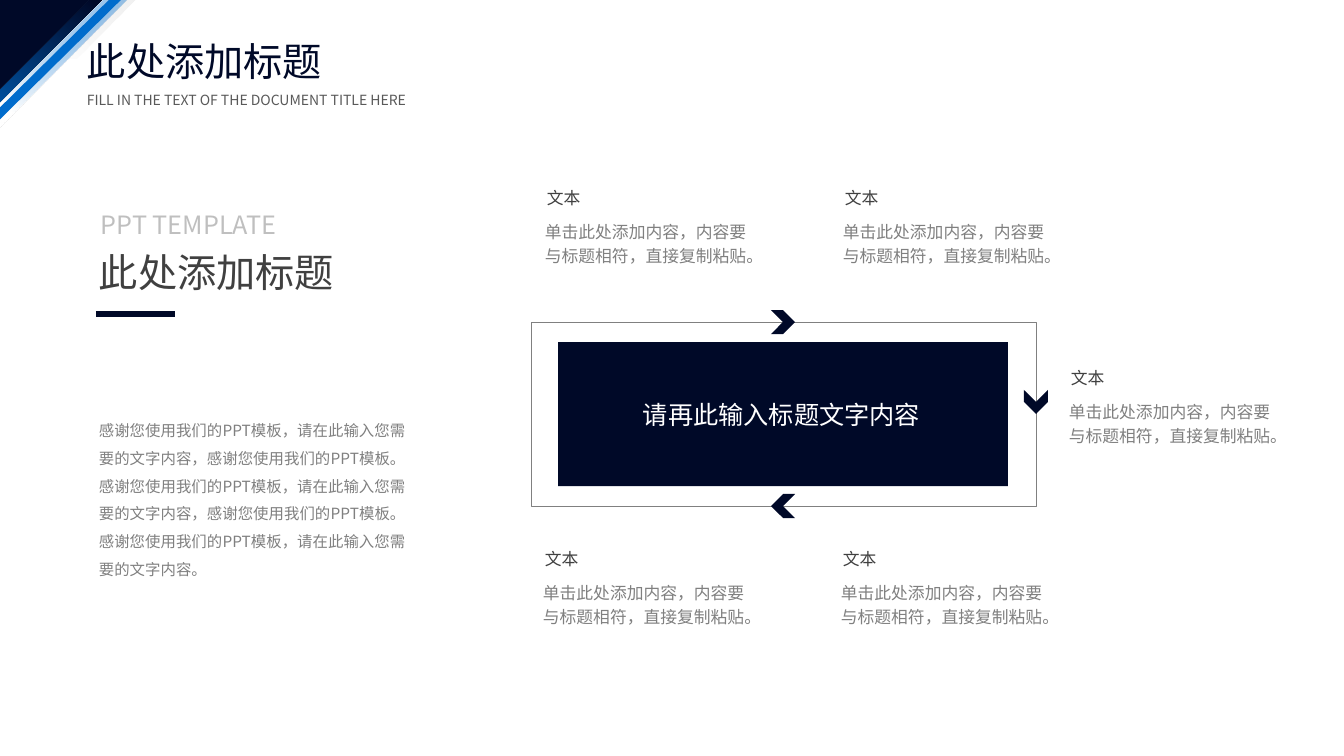
import pptx
import pptx.dml.color
import pptx.enum.shapes
import pptx.enum.text
import pptx.oxml
import pptx.oxml.ns
import pptx.util
import lxml.etree

SHAPES = pptx.enum.shapes.MSO_SHAPE
ALIGN = pptx.enum.text.PP_ALIGN
NAVY, BLUE, WHITE = "000928", "006CCC", "FFFFFF"
DARK, GREY = "404040", "808080"
CJK_FONT = "Noto Sans CJK SC"


def px(length):
    return pptx.util.Emu(round(length * 914400 / 100.8))


def colour(value):
    return pptx.dml.color.RGBColor.from_string(value)


class SlideBuilder:
    def __init__(self, slide):
        self.slide = slide

    def shape(self, kind, left, top, width, height, fill=None, line=None,
              rotation=0, adjust=None):
        shape = self.slide.shapes.add_shape(
            kind, px(left), px(top), px(width), px(height))
        shape.shadow.inherit = False
        shape.rotation = rotation
        if adjust is not None:
            shape.adjustments[0] = adjust
        if fill:
            shape.fill.solid()
            shape.fill.fore_color.rgb = colour(fill)
        else:
            shape.fill.background()
        if line:
            shape.line.color.rgb = colour(line)
            shape.line.width = pptx.util.Pt(0.25)
        else:
            shape.line.fill.background()
        return shape

    def gradient(self, shape, stops, angle):
        """Stops are (position %, colour, opacity %)."""
        stop_xml = "".join(
            f'<a:gs pos="{position * 1000}"><a:srgbClr val="{value}">'
            f'<a:alpha val="{opacity * 1000}"/></a:srgbClr></a:gs>'
            for position, value, opacity in stops)
        fill = pptx.oxml.parse_xml(
            f'<a:gradFill {pptx.oxml.ns.nsdecls("a")} rotWithShape="1">'
            f'<a:gsLst>{stop_xml}</a:gsLst>'
            f'<a:lin ang="{angle * 60000}" scaled="0"/></a:gradFill>')
        properties = shape._element.spPr
        no_fill = properties.find(pptx.oxml.ns.qn("a:noFill"))
        properties.replace(no_fill, fill)

    def line(self, start, end, value, width):
        connector = self.slide.shapes.add_connector(
            pptx.enum.shapes.MSO_CONNECTOR.STRAIGHT,
            px(start[0]), px(start[1]), px(end[0]), px(end[1]))
        connector.line.color.rgb = colour(value)
        connector.line.width = pptx.util.Pt(width)
        lxml.etree.SubElement(connector._element.spPr,
                              pptx.oxml.ns.qn("a:effectLst"))

    def text(self, words, left, top, width, height, size, value,
             font=CJK_FONT, wrap=False, spacing=None, align=ALIGN.LEFT):
        box = self.slide.shapes.add_textbox(
            px(left), px(top), px(width), px(height))
        frame = box.text_frame
        frame.word_wrap = wrap
        frame.auto_size = pptx.enum.text.MSO_AUTO_SIZE.SHAPE_TO_FIT_TEXT
        paragraph = frame.paragraphs[0]
        paragraph.alignment = align
        if spacing:
            paragraph.line_spacing = spacing
        run = paragraph.add_run()
        run.text = words
        run.font.size = pptx.util.Pt(size)
        run.font.color.rgb = colour(value)
        run.font.name = font
        east_asian = lxml.etree.SubElement(run.font._element,
                                           pptx.oxml.ns.qn("a:ea"))
        east_asian.set("typeface", CJK_FONT)

    def caption(self, left, top):
        self.text("文本", left, top, 54, 30, 12, DARK)
        self.text("单击此处添加内容，内容要与标题相符，直接复制粘贴。",
                  left - 2, top + 30, 237, 56, 12, GREY,
                  font="Arial", wrap=True, spacing=1.2)


def main():
    deck = pptx.Presentation()
    deck.slide_width, deck.slide_height = px(1344), px(756)
    page = SlideBuilder(deck.slides.add_slide(deck.slide_layouts[6]))

    # Corner decoration
    pale_stripe = page.shape(SHAPES.DIAGONAL_STRIPE, 49, -44, 102, 102,
                             rotation=180, adjust=0.734)
    page.gradient(pale_stripe, [(0, WHITE, 66), (100, "D9D9D9", 47)], 135)
    deep_band = page.shape(SHAPES.PARALLELOGRAM, -47, -15, 164, 152, adjust=1)
    page.gradient(deep_band, [(0, BLUE, 100), (88, NAVY, 100)], 315)
    light_band = page.shape(SHAPES.PARALLELOGRAM, -34, -15, 176, 152, adjust=1)
    page.gradient(light_band, [(22, WHITE, 100), (100, BLUE, 36)], 315)
    page.line((130, -15), (-25, 138), BLUE, 6)
    page.shape(SHAPES.RIGHT_TRIANGLE, -79, -74, 142, 142, NAVY, rotation=315)

    # Slide title
    page.text("此处添加标题", 77, 32, 276, 57, 28, NAVY,
              wrap=True, align=ALIGN.JUSTIFY)
    page.text("FILL IN THE TEXT OF THE DOCUMENT TITLE HERE",
              77, 87, 344, 27, 10, "595959")

    # Central panel, its frame and the chevrons running round it
    page.shape(SHAPES.ROUNDED_RECTANGLE, 558, 342, 450, 144, NAVY, adjust=0)
    page.shape(SHAPES.ROUNDED_RECTANGLE, 531, 322, 505, 184,
               line=GREY, adjust=0)
    for left, top, rotation in [(771, 310, 0), (1024, 390, 90),
                                (771, 494, 180)]:
        page.shape(SHAPES.CHEVRON, left, top, 24, 24, NAVY, rotation=rotation)
    page.text("请再此输入标题文字内容", 633, 394, 300, 40, 18, WHITE)

    # Captions: one at the right, two above and two below the panel
    page.caption(1061, 363)
    for row_left, row_top in [(537, 183), (535, 544)]:
        for column in range(2):
            page.caption(row_left + 298 * column, row_top)

    # Left column
    page.text("此处添加标题", 89, 243, 258, 57, 28, DARK)
    page.text("PPT TEMPLATE", 91, 204, 200, 40, 18, "BFBFBF")
    thanks = "感谢您使用我们的PPT模板"
    request = "，请在此输入您需要的文字内容"
    page.text(f"{thanks}{request}，{thanks}。{thanks}{request}，{thanks}。"
              f"{thanks}{request}。",
              89, 407, 332, 173, 11, GREY, wrap=True, spacing=1.5)
    page.line((96, 314), (175, 314), NAVY, 4)

    deck.save("out.pptx")


if __name__ == "__main__":
    main()
